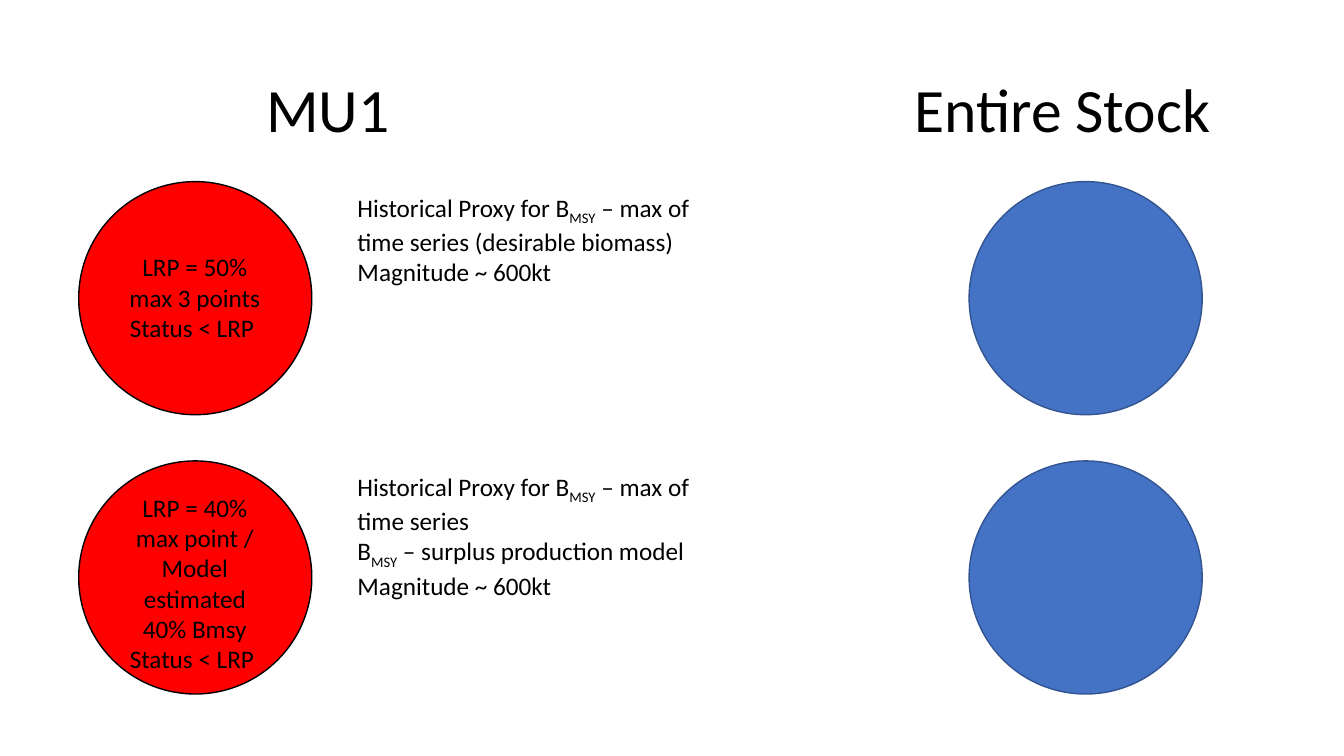
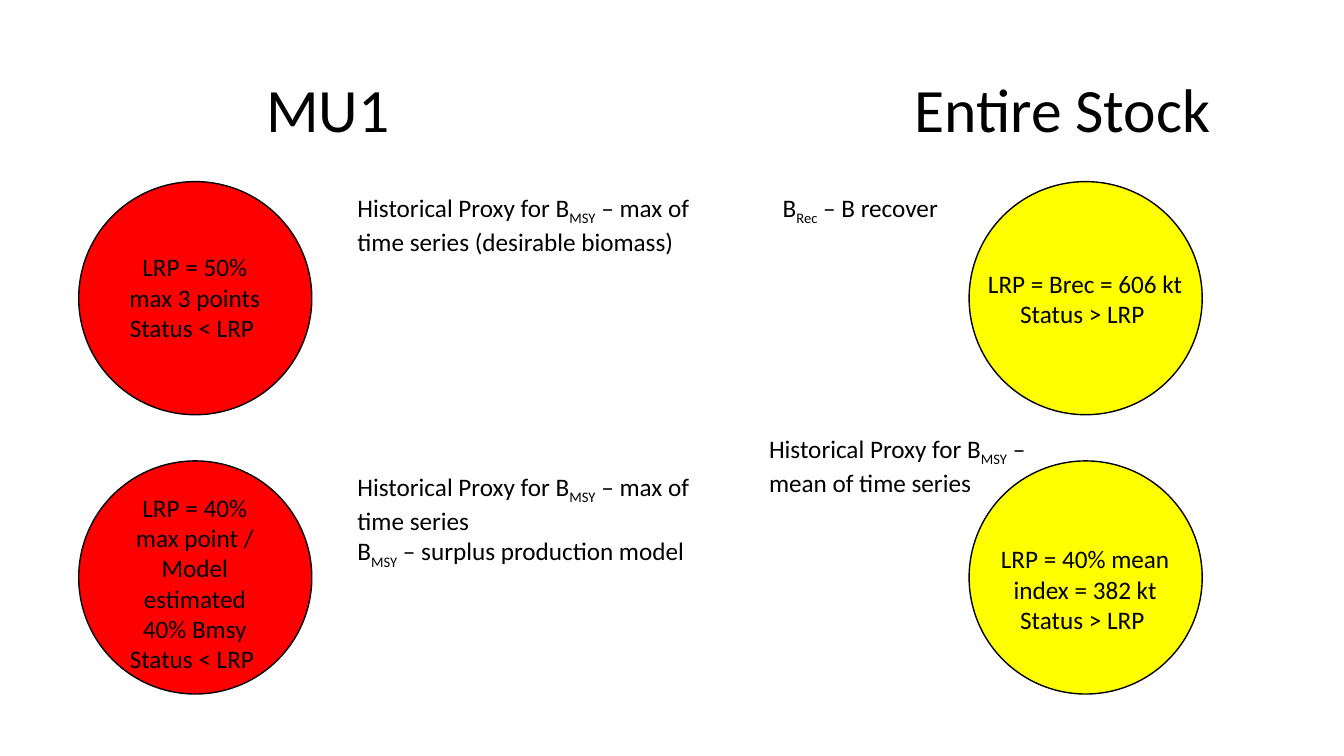
from dataclasses import dataclass

from lxml import etree
from pptx import Presentation
from pptx import util as u
from pptx.dml.color import RGBColor
from pptx.enum import shapes, text
from pptx.oxml.ns import qn

PX = 9525  # EMU per px, 96 px to the inch


@dataclass(frozen=True)
class Theme:
    font: str = "Calibri"
    title_size: int = 44
    text_size: int = 18
    ink: str = "000000"
    red: str = "FF0000"
    yellow: str = "FFFF00"
    blue: str = "4472C4"
    blue_edge: str = "325491"


THEME = Theme()
TITLE_BOX = (244, 38, 948, 139)
TITLE_TAB = 617
CIRCLE = 222
ROWS = (173, 439)
MU1_X, STOCK_X = 75, 923
NOTE_X = 331
LINE_HEIGHT, BOX_PADDING = 29, 10

MU1_LABELS = (
    (235, 4, ["LRP = 50% max 3 points", "Status < LRP "]),
    (464, 7, ["LRP = 40% max point / Model estimated 40% Bmsy", "Status < LRP "]),
)
STOCK_LABELS = (
    (251, 2, ["LRP = Brec = 606 kt Status > LRP "]),
    (513, 3, ["LRP = 40% mean index = 382 kt Status > LRP "]),
)
# Text between bars is set as a subscript.
DESIRABLE = ["Historical Proxy for B|MSY| – max of time series (desirable biomass)"]
SURPLUS = ["Historical Proxy for B|MSY| – max of time series",
           "B|MSY| – surplus production model"]
MAGNITUDE = ["Magnitude ~ 600kt"]
RECOVER = ["B|Rec| – B recover"]
MEAN = ["Historical Proxy for B|MSY| – mean of time series"]


class Deck:
    def __init__(self, theme):
        self.theme = theme
        self.presentation = Presentation()
        self.presentation.slide_width = 1280 * PX
        self.presentation.slide_height = 720 * PX
        self.slide = None

    def new_slide(self):
        layout = self.presentation.slide_layouts.get_by_name("Title Only")
        self.slide = self.presentation.slides.add_slide(layout)

    def add_runs(self, paragraph, content, size):
        """Add runs, with every second part between bars as a subscript."""
        for index, part in enumerate(content.split("|")):
            run = paragraph.add_run()
            run.text = part
            style = {"name": self.theme.font, "size": u.Pt(size)}
            for name, value in style.items():
                setattr(run.font, name, value)
            run.font.color.rgb = RGBColor.from_string(self.theme.ink)
            if index % 2:
                run.font._element.set("baseline", "-25000")

    def title(self, left, right):
        """Set two column headings, the second at a tab stop."""
        shape = self.slide.shapes.title
        for name, value in zip(("left", "top", "width", "height"), TITLE_BOX):
            setattr(shape, name, value * PX)
        frame = shape.text_frame
        frame.auto_size = text.MSO_AUTO_SIZE.NONE
        frame.vertical_anchor = text.MSO_ANCHOR.MIDDLE
        paragraph = frame.paragraphs[0]
        paragraph.alignment = text.PP_ALIGN.LEFT
        paragraph.line_spacing = 0.9
        properties = paragraph._p.get_or_add_pPr()
        tabs = etree.SubElement(properties, qn("a:tabLst"))
        etree.SubElement(tabs, qn("a:tab"), pos=str(TITLE_TAB * PX), algn="l")
        self.add_runs(paragraph, f"{left}\t{right}", self.theme.title_size)

    def circle(self, left, top, fill, edge):
        box = [value * PX for value in (left, top, CIRCLE, CIRCLE)]
        shape = self.slide.shapes.add_shape(shapes.MSO_SHAPE.OVAL, *box)
        shape.shadow.inherit = False
        shape.fill.solid()
        shape.fill.fore_color.rgb = RGBColor.from_string(fill)
        shape.line.color.rgb = RGBColor.from_string(edge)
        shape.line.width = u.Pt(1)

    def text_box(self, left, top, width, lines, paragraphs,
                 alignment=text.PP_ALIGN.LEFT):
        height = lines * LINE_HEIGHT + BOX_PADDING
        box = [value * PX for value in (left, top, width, height)]
        frame = self.slide.shapes.add_textbox(*box).text_frame
        frame.word_wrap = True
        for index, content in enumerate(paragraphs):
            paragraph = frame.add_paragraph() if index else frame.paragraphs[0]
            paragraph.alignment = alignment
            self.add_runs(paragraph, content, self.theme.text_size)

    def status_column(self, left, fill, edge, labels=(), label_width=0):
        """Stack two circles and centre their labels across them."""
        for top in ROWS:
            self.circle(left, top, fill, edge)
        label_left = left + (CIRCLE - label_width) // 2
        for top, lines, paragraphs in labels:
            self.text_box(label_left, top, label_width, lines, paragraphs,
                          text.PP_ALIGN.CENTER)

    def stock_slide(self, stock_fill, stock_edge, stock_labels, notes):
        self.new_slide()
        self.title("MU1", "Entire Stock")
        self.status_column(MU1_X, self.theme.red, self.theme.ink, MU1_LABELS, 159)
        self.status_column(STOCK_X, stock_fill, stock_edge, stock_labels, 205)
        for note in notes:
            self.text_box(*note)


def main():
    deck = Deck(THEME)
    deck.stock_slide(THEME.blue, THEME.blue_edge, (), (
        (NOTE_X, 178, 339, 3, DESIRABLE + MAGNITUDE),
        (NOTE_X, 444, 358, 4, SURPLUS + MAGNITUDE),
    ))
    deck.stock_slide(THEME.yellow, THEME.ink, STOCK_LABELS, (
        (NOTE_X, 178, 339, 2, DESIRABLE),
        (NOTE_X, 444, 358, 3, SURPLUS),
        (736, 178, 288, 1, RECOVER),
        (723, 408, 288, 2, MEAN),
    ))
    deck.presentation.save("out.pptx")


if __name__ == "__main__":
    main()
